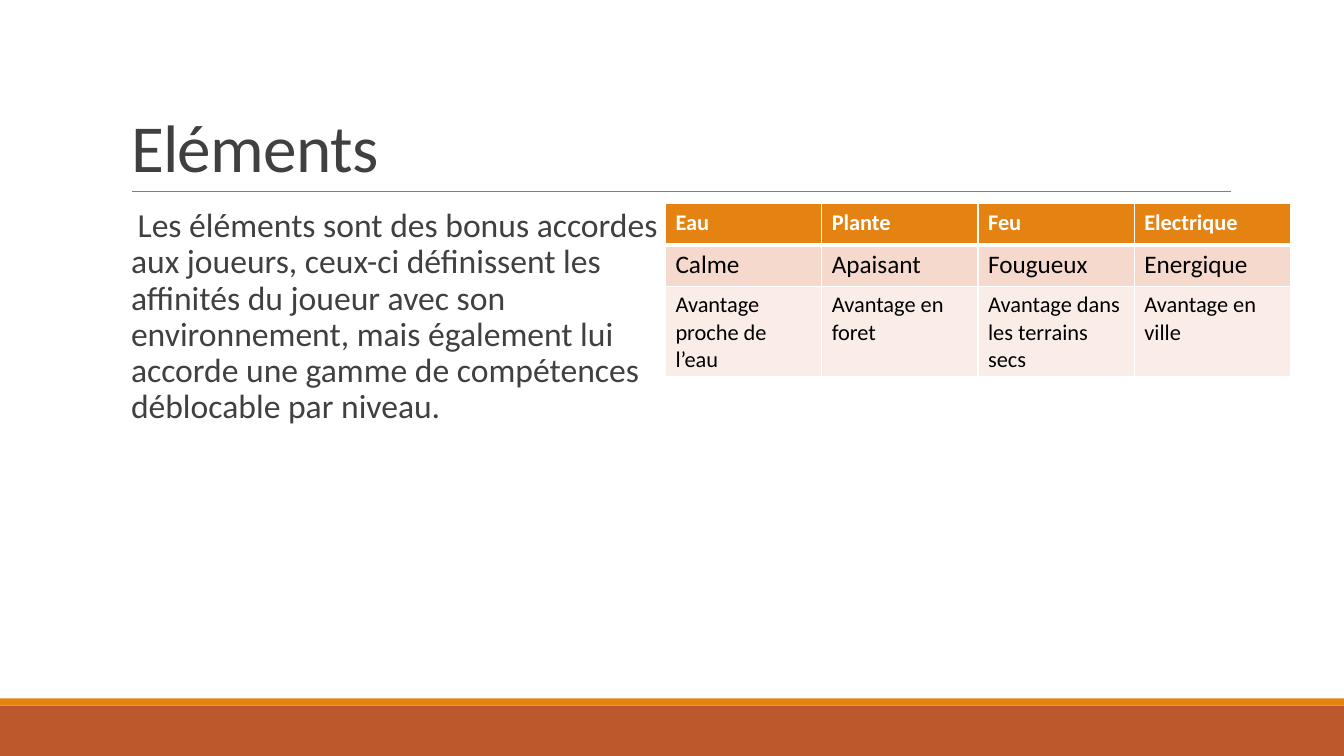
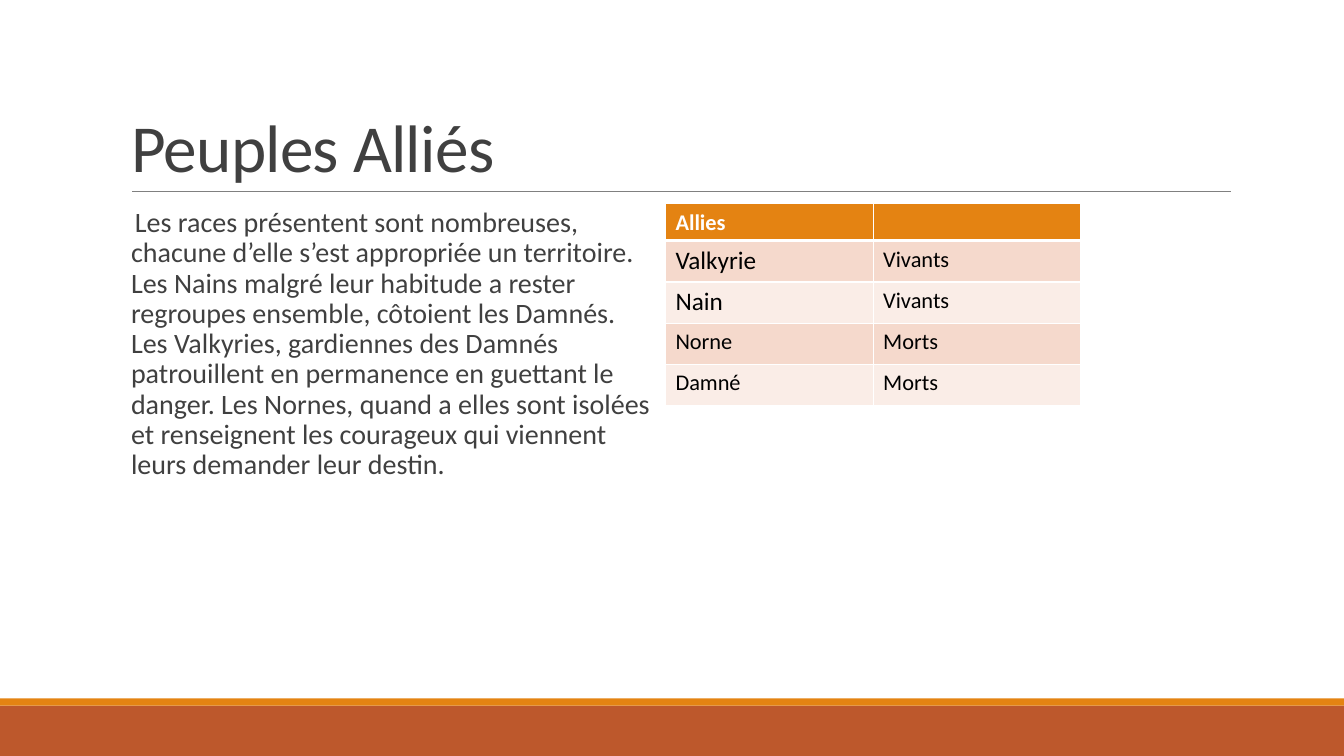
"""Build two slides, each with a paragraph and a table."""
from dataclasses import dataclass
from typing import Any

import lxml.etree
import pptx
import pptx.dml.color
import pptx.enum.shapes
import pptx.enum.text
import pptx.oxml.ns
import pptx.util

Inches = pptx.util.Inches
Pt = pptx.util.Pt
qn = pptx.oxml.ns.qn


@dataclass(frozen=True)
class Theme:
    font: str = "Calibri"
    text: str = "404040"
    rule: str = "808080"
    accent: str = "E48312"
    footer: str = "BD582C"
    white: str = "FFFFFF"
    black: str = "000000"
    bands: tuple[str, str] = ("F5D9CC", "FAEDE7")
    title_size: int = 48
    cell_size: int = 16
    large_cell_size: int = 18


THEME = Theme()


@dataclass(frozen=True)
class Band:
    top: float
    height: float
    color: str


BANDS = (Band(7, 0.5, THEME.footer), Band(6.93, 0.07, THEME.accent))


@dataclass(frozen=True)
class Cell:
    text: str
    size: int = THEME.cell_size


@dataclass(frozen=True)
class Page:
    title: str
    body: str
    body_size: int
    col_width: float
    row_heights: tuple[float, ...]
    rows: tuple[tuple[Cell, ...], ...]


def cells(*texts: str, size: int = THEME.cell_size) -> tuple[Cell, ...]:
    return tuple(Cell(text, size) for text in texts)


LARGE = THEME.large_cell_size

PAGES = (
    Page(
        "Eléments",
        "Les éléments sont des bonus accordes aux joueurs, ceux-ci définissent les "
        "affinités du joueur avec son environnement, mais également lui accorde une "
        "gamme de compétences déblocable par niveau.",
        24, 1.55, (0.41, 0.41, 0.89),
        (
            cells("Eau", "Plante", "Feu", "Electrique"),
            cells("Calme", "Apaisant", "Fougueux", "Energique", size=LARGE),
            cells("Avantage proche de l’eau", "Avantage en foret",
                  "Avantage dans les terrains secs", "Avantage en ville"),
        ),
    ),
    Page(
        "Peuples Alliés",
        "Les races présentent sont nombreuses,\n"
        "chacune d’elle s’est appropriée un territoire.\n"
        "Les Nains malgré leur habitude a rester regroupes ensemble, côtoient les Damnés.\n"
        "Les Valkyries, gardiennes des Damnés patrouillent en permanence en guettant le "
        "danger. Les Nornes, quand a elles sont isolées et renseignent les courageux qui "
        "viennent leurs demander leur destin.",
        20, 2.06, (0.36, 0.41, 0.41, 0.41, 0.41),
        (
            cells("Allies", ""),
            (Cell("Valkyrie", LARGE), Cell("Vivants")),
            (Cell("Nain", LARGE), Cell("Vivants")),
            cells("Norne", "Morts"),
            cells("Damné", "Morts"),
        ),
    ),
)


def rgb(color: str) -> pptx.dml.color.RGBColor:
    return pptx.dml.color.RGBColor.from_string(color)


def apply(target: Any, values: dict[str, Any]) -> None:
    for name, value in values.items():
        setattr(target, name, value)


def fill(target: Any, color: str) -> None:
    target.fill.solid()
    target.fill.fore_color.rgb = rgb(color)


def write(p: Any, text: str, size: int, color: str, bold: bool = False) -> None:
    p.text = text
    for r in p.runs:
        apply(r.font, {"name": THEME.font, "size": Pt(size), "bold": bold})
        r.font.color.rgb = rgb(color)


def add_frame(s: Any) -> None:
    for band in BANDS:
        sp = s.shapes.add_shape(
            pptx.enum.shapes.MSO_SHAPE.RECTANGLE, 0, Inches(band.top),
            Inches(13.33), Inches(band.height))
        sp.shadow.inherit = False
        fill(sp, band.color)
        sp.line.fill.background()
    rule = s.shapes.add_connector(
        pptx.enum.shapes.MSO_CONNECTOR.STRAIGHT,
        Inches(1.31), Inches(1.9), Inches(12.21), Inches(1.9))
    rule.line.width = Pt(0.5)
    rule.line.color.rgb = rgb(THEME.rule)
    lxml.etree.SubElement(rule._element.spPr, qn("a:effectLst"))


def add_title(s: Any, text: str) -> None:
    sp = s.shapes.title
    apply(sp, {"left": Inches(1.2), "top": Inches(0.31),
               "width": Inches(11), "height": Inches(1.59)})
    tf = sp.text_frame
    apply(tf, {"vertical_anchor": pptx.enum.text.MSO_ANCHOR.BOTTOM,
               "auto_size": pptx.enum.text.MSO_AUTO_SIZE.NONE, "word_wrap": True})
    p = tf.paragraphs[0]
    write(p, text, THEME.title_size, THEME.text)
    apply(p, {"alignment": pptx.enum.text.PP_ALIGN.LEFT, "line_spacing": 0.85})
    for r in p.runs:
        r.font._element.set("spc", "-50")


def add_body(s: Any, text: str, size: int) -> None:
    sp = s.shapes.add_textbox(Inches(1.2), Inches(2.02), Inches(5.33), Inches(4.4))
    tf = sp.text_frame
    apply(tf, {"word_wrap": True, "margin_left": 0, "margin_right": 0})
    p = tf.paragraphs[0]
    write(p, text, size, THEME.text)
    apply(p, {"line_spacing": 0.9, "space_before": Pt(12), "space_after": Pt(2)})
    pPr = p._p.get_or_add_pPr()
    pPr.set("marL", str(Inches(0.1)))
    pPr.set("indent", str(-Inches(0.1)))
    bullet_color = lxml.etree.SubElement(pPr, qn("a:buClr"))
    lxml.etree.SubElement(bullet_color, qn("a:srgbClr"), val=THEME.accent)
    lxml.etree.SubElement(pPr, qn("a:buChar"), char=" ")


def add_borders(cell: Any, row: int) -> None:
    widths = {"lnL": 1, "lnR": 1, "lnT": 3 if row == 1 else 1, "lnB": 3 if row == 0 else 1}
    tcPr = cell._tc.get_or_add_tcPr()
    for tag, width in widths.items():
        ln = lxml.etree.SubElement(tcPr, qn(f"a:{tag}"), w=str(Pt(width)))
        solid = lxml.etree.SubElement(ln, qn("a:solidFill"))
        lxml.etree.SubElement(solid, qn("a:srgbClr"), val=THEME.white)


def add_table(s: Any, page: Page) -> None:
    n_cols = len(page.rows[0])
    table = s.shapes.add_table(
        len(page.rows), n_cols, Inches(6.6), Inches(2.02),
        Inches(page.col_width * n_cols), Inches(sum(page.row_heights))).table
    for col in table.columns:
        col.width = Inches(page.col_width)
    for i, (height, row) in enumerate(zip(page.row_heights, page.rows)):
        table.rows[i].height = Inches(height)
        header = i == 0
        for j, item in enumerate(row):
            cell = table.cell(i, j)
            add_borders(cell, i)
            fill(cell, THEME.accent if header else THEME.bands[(i - 1) % 2])
            p = cell.text_frame.paragraphs[0]
            if item.text:
                write(p, item.text, item.size, THEME.white if header else THEME.black, header)
            else:
                lxml.etree.SubElement(p._p, qn("a:endParaRPr"), sz=str(item.size * 100))


def main() -> None:
    prs = pptx.Presentation()
    apply(prs, {"slide_width": Inches(13.33), "slide_height": Inches(7.5)})
    for page in PAGES:
        s = prs.slides.add_slide(prs.slide_layouts.get_by_name("Title Only"))
        add_frame(s)
        add_title(s, page.title)
        add_body(s, page.body, page.body_size)
        add_table(s, page)
    prs.save("out.pptx")


if __name__ == "__main__":
    main()
